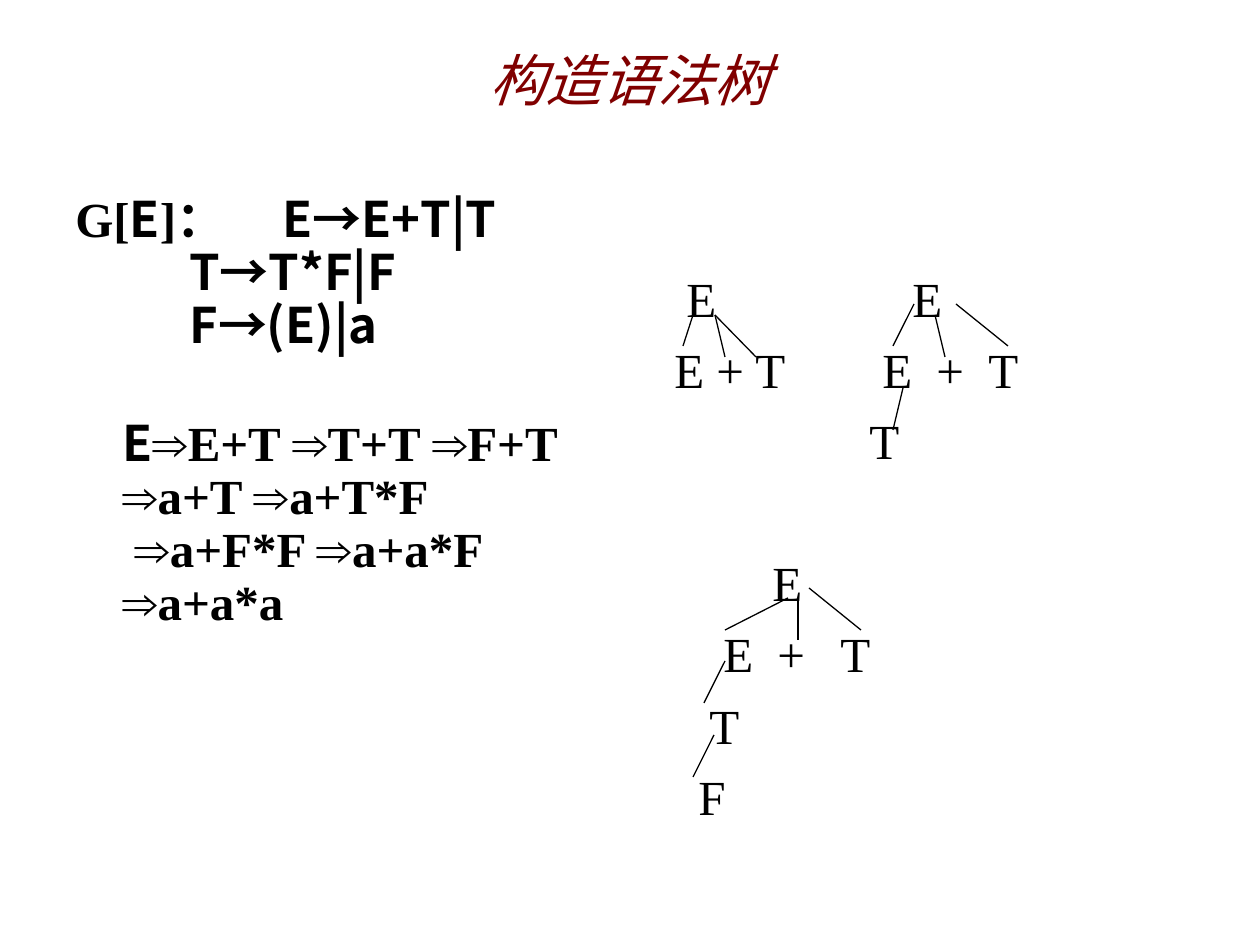
from pptx import Presentation
from pptx.dml.color import RGBColor
from pptx.enum.text import MSO_ANCHOR, PP_ALIGN
from pptx.enum.shapes import MSO_CONNECTOR
from pptx.util import Emu, Pt
from lxml.etree import SubElement
from pptx.oxml.ns import qn

BLACK = RGBColor(0x00, 0x00, 0x00)
MAROON = RGBColor(0x80, 0x00, 0x00)
SERIF, SANS, CJK = "Times New Roman", "Arial", "Noto Sans CJK SC"
BOLD = {"size": Pt(28), "bold": True}
PLAIN = {"size": Pt(28), "bold": False}
GAP = 7  # points between paragraphs


def px(n):
    return Emu(round(n * 914400 / 126))


def add_box(slide, box):
    frame = slide.shapes.add_textbox(*map(px, box)).text_frame
    frame.word_wrap = True
    return frame


def set_para(para, before, pitch, tabs=(), left=0):
    para.space_before = Pt(before)
    para.line_spacing = Pt(pitch)
    props = para._p.get_or_add_pPr()
    if left:
        props.set("marL", str(px(left)))
    if tabs:
        stops = SubElement(props, qn("a:tabLst"))
        for stop in tabs:
            SubElement(stops, qn("a:tab"), pos=str(px(stop)), algn="l")


def add_run(para, text, face, style, color=BLACK):
    run = para.add_run()
    run.text = text
    for key, value in {"name": face, **style}.items():
        setattr(run.font, key, value)
    run.font.color.rgb = color


def add_title(slide, box):
    frame = add_box(slide, box)
    frame.vertical_anchor = MSO_ANCHOR.MIDDLE
    para = frame.paragraphs[0]
    para.alignment = PP_ALIGN.CENTER
    add_run(para, "构造语法树", SANS, {"size": Pt(32), "italic": True}, MAROON)


def add_rules(slide, box):
    frame = add_box(slide, box)
    pitch = 30.3

    # Grammar, with the right-hand sides on tab stops
    para = frame.paragraphs[0]
    set_para(para, 0, pitch, tabs=(114, 207))
    for text, face in (("G[", SERIF), ("E", CJK), ("]：", SERIF),
                       ("\tE→E+T|T", CJK)):
        add_run(para, text, face, BOLD)
    for rule in ("T→T*F|F", "F→(E)|a"):
        para.add_line_break()
        add_run(para, "\t" + rule, CJK, BOLD)

    # Derivation, one line set apart from the grammar
    para = frame.add_paragraph()
    set_para(para, GAP + pitch, pitch, left=47)
    add_run(para, "E", CJK, BOLD)
    steps = ("E+T ", "T+T ", "F+T ", "a+T ", "a+T*F", "a+F*F ", "a+a*F ", "a+a*a")
    for step in steps:
        if step == "a+F*F ":
            para.add_line_break()
            add_run(para, " ", SERIF, BOLD)
        add_run(para, "⇒", SANS, BOLD)
        add_run(para, step, SERIF, BOLD)


def add_trees(slide, box):
    frame = add_box(slide, box)
    pitch = 33.65

    # Node rows: text, tab stops, empty rows above
    rows = (("\tE\tE", (12, 238), 0),
            ("E + T\tE\t+\tT", (208, 262, 314), 0),
            ("\tT", (195,), 0),
            ("\tE", (98,), 1),
            ("\tE\t+\tT", (49, 103, 166), 0),
            ("\tT", (35,), 0),
            ("\tF", (24,), 0))
    for i, (text, tabs, skip) in enumerate(rows):
        para = frame.add_paragraph() if i else frame.paragraphs[0]
        before = GAP + skip * (GAP + pitch) if i else 0
        set_para(para, before, pitch, tabs)
        add_run(para, text, SERIF, PLAIN)

    # Branches, relative to the box
    left, top = box[:2]
    for x1, y1, x2, y2 in (
            (31, 53, 21, 84), (53, 53, 63, 95), (53, 53, 94, 95),
            (252, 42, 231, 84), (273, 53, 283, 95), (294, 42, 346, 84),
            (241, 126, 231, 168),
            (126, 336, 63, 368), (136, 336, 136, 378), (147, 326, 199, 368),
            (63, 399, 42, 441), (52, 473, 31, 515)):
        line = slide.shapes.add_connector(
            MSO_CONNECTOR.STRAIGHT, px(left + x1), px(top + y1),
            px(left + x2), px(top + y2))
        line.line.color.rgb = BLACK
        line.line.width = Pt(0.75)
        SubElement(line._element.spPr, qn("a:effectLst"))


def main():
    deck = Presentation()
    deck.slide_width, deck.slide_height = px(1260), px(945)
    slide = deck.slides.add_slide(deck.slide_layouts[6])
    add_title(slide, (94, 0, 1071, 158))
    add_rules(slide, (63, 188, 525, 567))
    add_trees(slide, (662, 262, 525, 567))
    deck.save("out.pptx")


if __name__ == "__main__":
    main()
